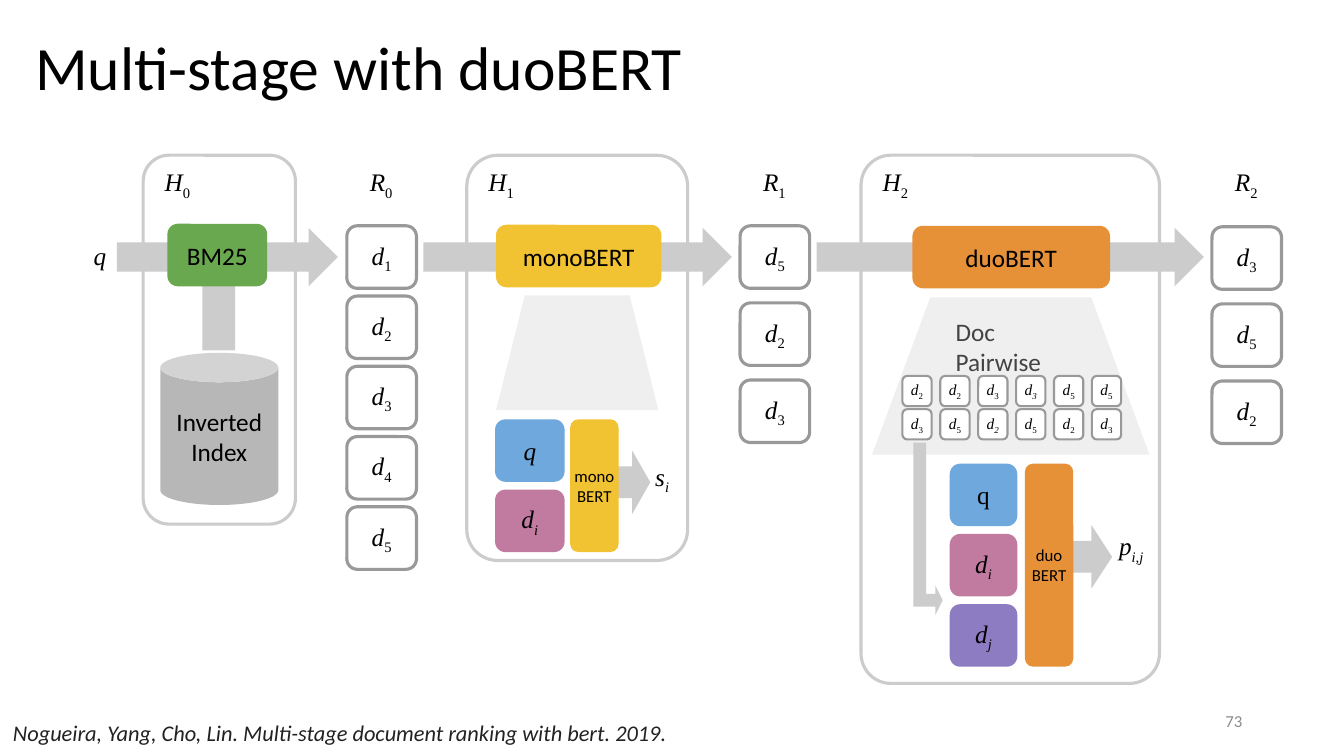
from dataclasses import dataclass

from pptx import Presentation
from pptx.dml.color import RGBColor as RGB
from pptx.enum.shapes import MSO_SHAPE as SHAPE
from pptx.enum.text import MSO_ANCHOR as ANCHOR, MSO_AUTO_SIZE as FIT, PP_ALIGN as ALIGN
from pptx.util import Inches, Pt


@dataclass(frozen=True)
class Theme:
    sans: str = "Calibri"
    serif: str = "Times New Roman"
    title: int = 44
    body: int = 18
    note: int = 16
    small: int = 12
    tiny: int = 11
    ink: str = "000000"
    caption: str = "434343"
    citation: str = "222222"
    number: str = "8C8C8C"
    flow: str = "CCCCCC"
    edge: str = "999999"
    card: str = "FFFFFF"
    zoom: str = "EFEFEF"
    index: str = "B7B7B7"
    green: str = "6AA84F"
    yellow: str = "F1C232"
    orange: str = "E69138"
    blue: str = "6FA8DC"
    pink: str = "C27BA0"
    violet: str = "8E7CC3"


T = Theme()
COLS, ROWS = 133.3, 75
CELL = Inches(0.1)
CARD_W, CARD_H, CARD_STEP = 6.9, 6.2, 6.97
BAR_W = 4.8


def grid(*cells):
    return [round(c * CELL) for c in cells]


def style(r, size, font=T.sans, color=T.ink, italic=False):
    r.font.size, r.font.name, r.font.italic = Pt(size), font, italic
    r.font.color.rgb = RGB.from_string(color)


def frame_text(sp, anchor=ANCHOR.MIDDLE, inset=1):
    tf = sp.text_frame
    tf.word_wrap, tf.auto_size, tf.vertical_anchor = True, FIT.NONE, anchor
    tf.margin_left = tf.margin_right = tf.margin_top = tf.margin_bottom = round(inset * CELL)
    return tf


def write(sp, text, size=T.body, color=T.ink, align=ALIGN.CENTER, anchor=ANCHOR.MIDDLE,
          inset=1, italic=False):
    tf = frame_text(sp, anchor, inset)
    tf.text = text
    for p in tf.paragraphs:
        p.alignment = align
        for r in p.runs:
            style(r, size, color=color, italic=italic)
    return tf


def write_symbol(sp, symbol, size=T.body, align=ALIGN.CENTER, inset=1, italic=True, sub_italic=None):
    base, _, sub = symbol.partition("_")
    p = frame_text(sp, inset=inset).paragraphs[0]
    p.text, p.alignment = base, align
    style(p.runs[0], size, T.serif, italic=italic)
    if sub:
        r = p.add_run()
        r.text = sub
        style(r, size, T.serif, italic=not sub.isdigit() if sub_italic is None else sub_italic)
        r._r.get_or_add_rPr().set("baseline", "-25000")


def block(s, kind, box, fill=None, line=None, weight=2.25, adj=(), rotation=0):
    sp = s.shapes.add_shape(kind, *grid(*box))
    sp.shadow.inherit = False
    sp.rotation = rotation
    for i, value in enumerate(adj):
        sp.adjustments[i] = value
    if fill:
        sp.fill.solid()
        sp.fill.fore_color.rgb = RGB.from_string(fill)
    else:
        sp.fill.background()
    if line:
        sp.line.color.rgb = RGB.from_string(line)
        sp.line.width = Pt(weight)
    else:
        sp.line.fill.background()
    return sp


def rounded(s, box, fill=None, **look):
    return block(s, SHAPE.ROUNDED_RECTANGLE, box, fill, **look)


def arrow(s, box, **look):
    return block(s, SHAPE.RIGHT_ARROW, box, T.flow, **look)


def label(s, box):
    return s.shapes.add_textbox(*grid(*box))


def stage(s, heading, frame, corner, flow, engine, name, fill):
    x, y = frame[:2]
    rounded(s, frame, line=T.flow, adj=[corner])
    arrow(s, flow)
    write(rounded(s, engine, fill), name)
    write_symbol(label(s, (x + 0.5, y + 1.1, 5.8, 3.5)), heading)


def result_list(s, heading, x, y, docs, step):
    write_symbol(label(s, (x + 0.5, 16.5, 5.8, 3.5)), heading)
    for i, doc in enumerate(docs):
        card = rounded(s, (x, y + i * step, CARD_W, CARD_H), T.card, line=T.edge)
        write_symbol(card, f"d_{doc}")


def scorer(s, x, y, card_w, inputs, name, fill, out_arrow, score, score_box):
    arrow(s, out_arrow)
    for i, (symbol, color, italic) in enumerate(inputs):
        card = rounded(s, (x, y + i * CARD_STEP, card_w, CARD_H), color)
        write_symbol(card, symbol, italic=italic)
    height = (len(inputs) - 1) * CARD_STEP + CARD_H
    write(rounded(s, (x + 7.45, y, BAR_W, height), fill), name, T.small, inset=0)
    write_symbol(label(s, score_box), score, align=ALIGN.LEFT)


def doc_pairs(s, x, y, pairs, slanted):
    for col, pair in enumerate(pairs):
        for row, doc in enumerate(pair):
            card = rounded(s, (x + 3.76 * col, y + 3.3 * row, 2.9, 3), T.card,
                           line=T.edge, weight=1.5)
            write_symbol(card, f"d_{doc}", T.tiny, inset=0, sub_italic=(col, row) in slanted)


def title(s, text):
    sp = s.shapes.title
    sp.left, sp.top, sp.width, sp.height = grid(2.5, -0.2, 123.7, 14.5)
    tf = write(sp, text, T.title, align=ALIGN.LEFT)
    tf.paragraphs[0].line_spacing = 0.9


def main():
    prs = Presentation()
    prs.slide_width, prs.slide_height = grid(COLS, ROWS)
    s = prs.slides.add_slide(prs.slide_layouts[5])
    title(s, "Multi-stage with duoBERT")

    arrow(s, (16, 26.4, 11.4, 5.3), adj=(0.61, 0.5), rotation=270)
    stage(s, "H_0", (14.2, 15.4, 15.1, 36.6), 0.17, (11.6, 22.6, 21.9, 5.8),
          (16.6, 22.2, 9.9, 6.2), "BM25", T.green)
    write(block(s, SHAPE.CAN, (15.9, 35, 11.7, 15.1), T.index), "Inverted\nIndex")
    write_symbol(label(s, (7.5, 22.9, 4.8, 4.8)), "q")
    result_list(s, "R_0", 34.4, 22.4, (1, 2, 3, 4, 5), CARD_STEP)

    stage(s, "H_1", (46.3, 15.4, 21.9, 40.2), 0.14, (42, 22.6, 30.6, 5.8),
          (49.2, 22.3, 16.4, 6.2), "monoBERT", T.yellow)
    block(s, SHAPE.TRAPEZOID, (49.2, 29.3, 16.1, 11.4), T.zoom)
    scorer(s, 49.1, 41.6, 6.9, [("q", T.blue, True), ("d_i", T.pink, True)],
           "mono\nBERT", T.yellow, (60.9, 44.7, 3.6, 6.3), "s_i", (64, 45.2, 5.8, 4.5))
    result_list(s, "R_1", 73.4, 22.4, (5, 2, 3), 7.65)

    stage(s, "H_2", (85.4, 15.4, 29.6, 52.4), 0.1, (81, 22.6, 38.4, 5.8),
          (90.5, 22.4, 19.6, 6.2), "duoBERT", T.orange)
    block(s, SHAPE.TRAPEZOID, (86.5, 29.5, 27.5, 15.6), T.zoom, adj=[0.37])
    write(label(s, (93.8, 32.5, 14.1, 3.8)), "Doc Pairwise", color=T.caption, align=ALIGN.LEFT)
    doc_pairs(s, 89.5, 37.3, [(2, 3), (2, 5), (3, 2), (3, 5), (5, 2), (5, 3)],
              slanted={(2, 1), (3, 0)})
    block(s, SHAPE.BENT_UP_ARROW, (83.5, 51, 17.1, 2.9), T.flow,
          adj=(0.43, 0.5, 0.25), rotation=90)
    scorer(s, 94.2, 46, 6.7,
           [("q", T.blue, False), ("d_i", T.pink, True), ("d_j", T.violet, True)],
           "duo\nBERT", T.orange, (106.2, 52.1, 4.1, 6.3), "p_i,j", (110, 52.1, 5.8, 4.5))
    result_list(s, "R_2", 120.2, 22.5, (3, 5, 2), 7.65)

    write(label(s, (94.2, 69.5, 30, 4)), "73", T.small, T.number, ALIGN.RIGHT)
    write(label(s, (0.3, 70.3, 79.1, 4.7)),
          "Nogueira, Yang, Cho, Lin. Multi-stage document ranking with bert. 2019.",
          T.note, T.citation, ALIGN.LEFT, ANCHOR.TOP, italic=True)
    prs.save("out.pptx")


if __name__ == "__main__":
    main()
